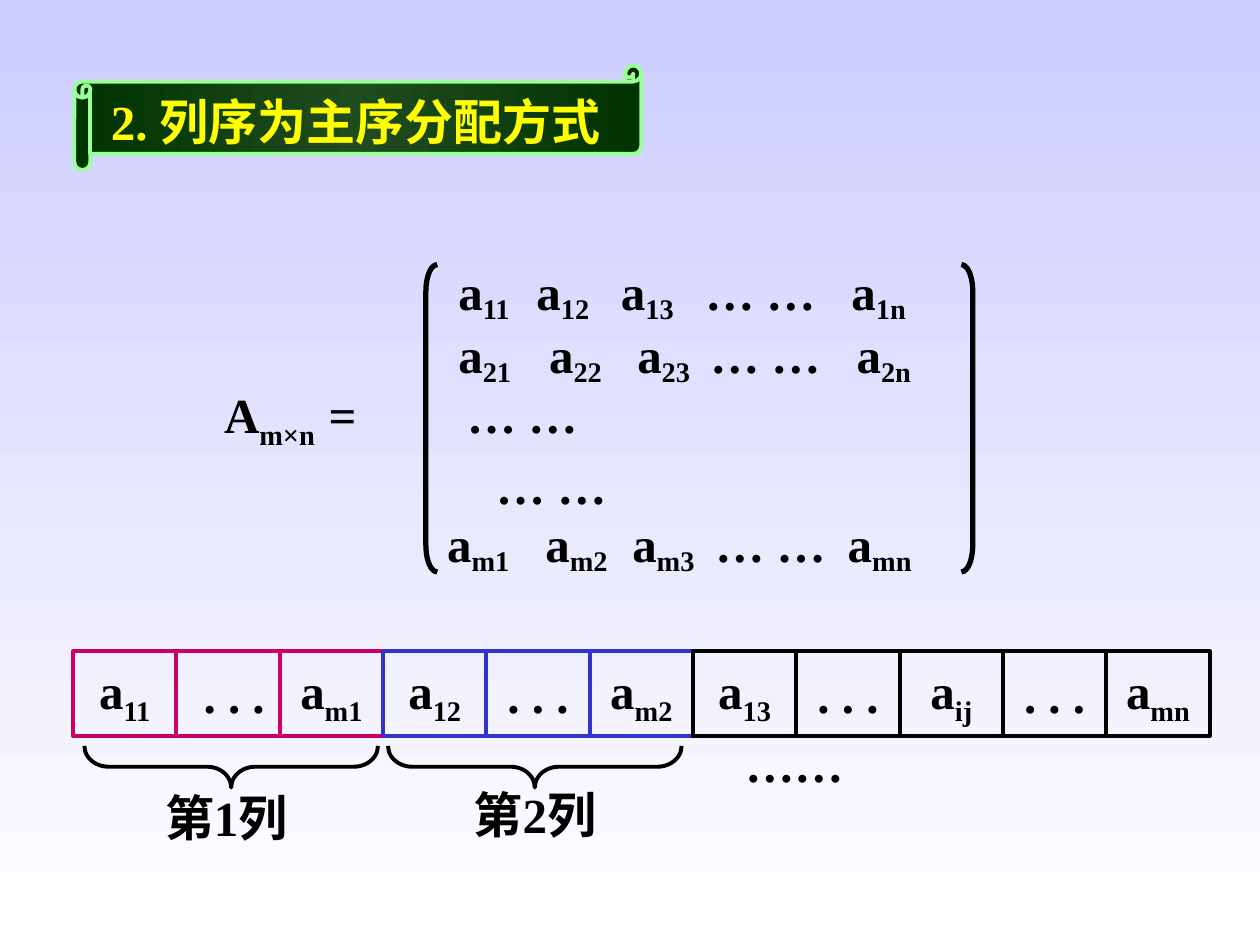
from copy import deepcopy

from lxml import etree
from pptx import Presentation
from pptx.dml.color import RGBColor
from pptx.enum.shapes import MSO_SHAPE
from pptx.enum.text import MSO_ANCHOR, MSO_AUTO_SIZE, PP_ALIGN
from pptx.oxml.ns import qn
from pptx.util import Inches, Pt

LEFT, CENTER = PP_ALIGN.LEFT, PP_ALIGN.CENTER
TOP, MIDDLE = MSO_ANCHOR.TOP, MSO_ANCHOR.MIDDLE
RECTANGLE, SCROLL = MSO_SHAPE.RECTANGLE, MSO_SHAPE.HORIZONTAL_SCROLL
BRACE = MSO_SHAPE.LEFT_BRACE
LEFT_BRACKET, RIGHT_BRACKET = MSO_SHAPE.LEFT_BRACKET, MSO_SHAPE.RIGHT_BRACKET

# Content: an underscore starts a subscript
TITLE = "2. 列序为主序分配方式"
MATRIX_ROWS = [  # (entry, distance from the left edge of the slide)
    [("a_11", 3.64), ("a_12", 4.26), ("a_13", 4.93), ("… …", 5.6), ("a_1n", 6.76)],
    [("a_21", 3.64), ("a_22", 4.36), ("a_23", 5.06), ("… …", 5.64), ("a_2n", 6.8)],
    [("A_m×n", 1.78), ("=", 2.61), ("… …", 3.71)],
    [("… …", 3.94)],
    [("a_m1", 3.55), ("a_m2", 4.33), ("a_m3", 5.02), ("… …", 5.68), ("a_mn", 6.73)],
]
MEMORY_GROUPS = [
    ("CC0066", ["a_11", " . . .", "a_m1"]),
    ("3333CC", ["a_12", ". . .", "a_m2"]),
    ("000000", ["a_13", ". . .", "a_ij", ". . .", "a_mn"]),
]
CAPTIONS = [  # (text, left, top, width)
    ("第1列", 1.12, 6.2, 1.35),
    ("第2列", 3.57, 6.18, 1.35),
    ("……", 5.82, 5.77, 0.97),
]
BRACE_LEFTS = [1.67, 4.08]
BRACKETS = [(LEFT_BRACKET, 3.38), (RIGHT_BRACKET, 7.63)]

CELL_LEFT, CELL_TOP, CELL_WIDTH, CELL_HEIGHT = 0.58, 5.17, 0.82, 0.67
MATRIX_LEFT, INSET = 0.83, 0.1


def rgb(color):
    return RGBColor.from_string(color)


def box_of(left, top, width, height):
    return [Inches(length) for length in (left, top, width, height)]


def format_span(span, color="000000"):
    font = span.font
    font.size, font.bold, font.name = Pt(28), True, "Times New Roman"
    font.color.rgb = rgb(color)
    east_asian = etree.Element(qn("a:ea"), typeface="Noto Sans CJK SC")
    font._element.find(qn("a:latin")).addnext(east_asian)


def add_entry(para, entry, baseline=-25):
    base, _, subscript = entry.partition("_")
    for text, shift in ((base, 0), (subscript, baseline)):
        if text:
            span = para.add_run()
            span.text = text
            format_span(span)
            if shift:
                span.font._element.set("baseline", str(shift * 1000))


def set_frame(frame, anchor=TOP, wrap=False):
    frame.word_wrap = wrap
    frame.auto_size = MSO_AUTO_SIZE.NONE
    frame.vertical_anchor = anchor
    frame.margin_left = frame.margin_right = Inches(INSET)
    frame.margin_top = frame.margin_bottom = Inches(0.05)


def add_outline(page, kind, box, color, weight):
    shape = page.shapes.add_shape(kind, *box_of(*box))
    shape.shadow.inherit = False
    shape.fill.background()
    shape.line.color.rgb = rgb(color)
    shape.line.width = Pt(weight)
    return shape


def set_gradient(fill, colors, angle):
    fill.gradient()
    fill.gradient_angle = angle
    stops = fill.gradient_stops
    first = stops[0]._gs
    for _ in range(len(colors) - len(stops)):
        first.addnext(deepcopy(first))
    for index, (stop, color) in enumerate(zip(fill.gradient_stops, colors)):
        stop.color.rgb = rgb(color)
        stop.position = index / (len(colors) - 1)


def add_title(page):
    scroll = add_outline(page, SCROLL, (0.59, 0.52, 4.5, 0.83), "99FF99", 2.25)
    scroll.adjustments[0] = 0.154
    set_gradient(scroll.fill, ["003300", "1F4C1F", "003300"], 0)
    title = page.shapes.title
    title.left, title.top, title.width, title.height = box_of(0.78, 0.68, 4.4, 0.57)
    set_frame(title.text_frame, wrap=True)
    title.text_frame.text = TITLE
    para = title.text_frame.paragraphs[0]
    para.alignment = LEFT
    format_span(para.runs[0], "FFFF00")
    scroll._element.addnext(title._element)  # title lies on the scroll


def add_matrix(page):
    box = page.shapes.add_textbox(*box_of(MATRIX_LEFT, 2.03, 6.8, 2.61))
    frame = box.text_frame
    set_frame(frame, wrap=True)
    for index, row in enumerate(MATRIX_ROWS):
        para = frame.paragraphs[0] if index == 0 else frame.add_paragraph()
        para.alignment = LEFT
        para.line_spacing = Pt(36)
        tabs = etree.SubElement(para._p.get_or_add_pPr(), qn("a:tabLst"))
        for entry, left in row:
            position = Inches(left - MATRIX_LEFT - INSET)
            etree.SubElement(tabs, qn("a:tab"), pos=str(position), algn="l")
            add_entry(para, "\t" + entry, -25 if entry.startswith("A") else -18)
    for kind, left in BRACKETS:
        bracket = add_outline(page, kind, (left, 2.1, 0.09, 2.44), "000000", 3)
        bracket.adjustments[0] = 2.35


def add_memory(page):
    cells = [(color, entry) for color, entries in MEMORY_GROUPS for entry in entries]
    for index, (color, entry) in enumerate(cells):
        left = CELL_LEFT + index * CELL_WIDTH
        box = (left, CELL_TOP, CELL_WIDTH, CELL_HEIGHT)
        cell = add_outline(page, RECTANGLE, box, color, 2.25)
        set_frame(cell.text_frame, MIDDLE)
        para = cell.text_frame.paragraphs[0]
        para.alignment = CENTER
        add_entry(para, entry)
    for left in BRACE_LEFTS:
        brace = add_outline(page, BRACE, (left, 4.92, 0.33, 2.33), "000000", 2.25)
        brace.adjustments[0] = 0.58
        brace.rotation = 270
    for text, left, top, width in CAPTIONS:
        caption = page.shapes.add_textbox(*box_of(left, top, width, 0.57))
        set_frame(caption.text_frame)
        para = caption.text_frame.paragraphs[0]
        para.alignment = CENTER
        add_entry(para, text)


def main():
    deck = Presentation()
    deck.slide_width, deck.slide_height = Inches(10), Inches(7.5)
    page = deck.slides.add_slide(deck.slide_layouts[5])
    set_gradient(page.background.fill, ["CCCCFF", "FFFFFF"], 270)
    add_memory(page)
    add_title(page)
    add_matrix(page)
    deck.save("out.pptx")


if __name__ == "__main__":
    main()
